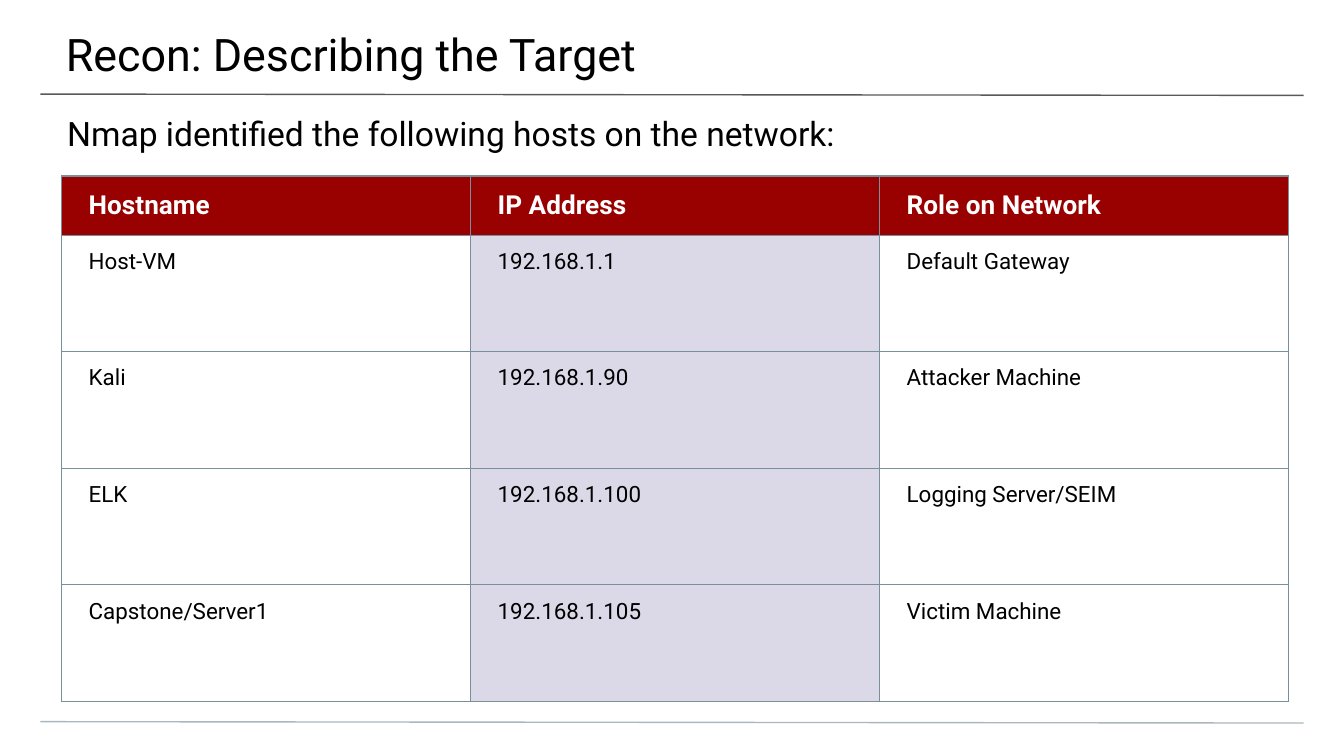
from lxml.etree import SubElement
from pptx import Presentation
from pptx.dml.color import RGBColor
from pptx.enum.shapes import MSO_CONNECTOR
from pptx.enum.text import MSO_ANCHOR
from pptx.oxml.ns import qn
from pptx.util import Inches, Pt

HOSTS = [
    ("Hostname", "IP Address", "Role on Network"),
    ("Host-VM", "192.168.1.1", "Default Gateway"),
    ("Kali", "192.168.1.90", "Attacker Machine"),
    ("ELK", "192.168.1.100", "Logging Server/SEIM"),
    ("Capstone/Server1", "192.168.1.105", "Victim Machine"),
]


def color(value):
    """Turn a hex string into a colour."""
    return RGBColor.from_string(value)


def style_text(para, size, hue="000000", bold=False):
    """Format every run of a paragraph."""
    for span in para.runs:
        span.font.name = "Roboto"
        span.font.size = Pt(size)
        span.font.bold = bold
        span.font.color.rgb = color(hue)


def set_margins(target, left, top, right, bottom):
    """Set the inner margins of a text frame or cell in inches."""
    target.margin_left, target.margin_top = Inches(left), Inches(top)
    target.margin_right, target.margin_bottom = Inches(right), Inches(bottom)


def add_rule(page, left, top, width, hue):
    """Draw a thin, slightly slanted rule across the page."""
    rule = page.shapes.add_connector(
        MSO_CONNECTOR.STRAIGHT, Inches(left), Inches(top),
        Inches(left + width), Inches(top + 0.01))
    rule.line.color.rgb = color(hue)
    rule.line.width = Pt(0.75)
    SubElement(rule._element.spPr, qn("a:effectLst"))


def add_heading(page, left, top, width, height, text, size, margins):
    """Place one line of heading text."""
    box = page.shapes.add_textbox(
        Inches(left), Inches(top), Inches(width), Inches(height))
    frame = box.text_frame
    frame.word_wrap = True
    frame.vertical_anchor = MSO_ANCHOR.TOP
    set_margins(frame, *margins)
    frame.text = text
    style_text(frame.paragraphs[0], size)


def add_borders(cell, hue, width):
    """Outline all four sides of a cell."""
    properties = cell._tc.get_or_add_tcPr()
    for index, side in enumerate(("lnL", "lnR", "lnT", "lnB")):
        line = properties.makeelement(qn(f"a:{side}"), {"w": str(Pt(width))})
        fill = SubElement(line, qn("a:solidFill"))
        SubElement(fill, qn("a:srgbClr"), val=hue)
        properties.insert(index, line)


def add_host_table(page, left, top, width, height, header_height):
    """Place the table of hosts with a red header and a tinted middle column."""
    row_count, column_count = len(HOSTS), len(HOSTS[0])
    table = page.shapes.add_table(
        row_count, column_count, Inches(left), Inches(top),
        Inches(width), Inches(height)).table
    for column in table.columns:
        column.width = Inches(width / column_count)
    body_height = (height - header_height) / (row_count - 1)
    for row_index, values in enumerate(HOSTS):
        header = row_index == 0
        table.rows[row_index].height = Inches(
            header_height if header else body_height)
        for column_index, value in enumerate(values):
            cell = table.cell(row_index, column_index)
            cell.text = value
            set_margins(cell, 0.2, 0.1, 0.2, 0.1)
            cell.vertical_anchor = MSO_ANCHOR.MIDDLE if header else MSO_ANCHOR.TOP
            if header or column_index == 1:
                cell.fill.solid()
                cell.fill.fore_color.rgb = color("990000" if header else "DBD9E8")
            else:
                cell.fill.background()
            style_text(cell.text_frame.paragraphs[0], 14 if header else 12,
                       "FFFFFF" if header else "000000", header)
            add_borders(cell, "78909C", 0.75)


def main():
    """Build and save the deck."""
    deck = Presentation()
    deck.slide_width, deck.slide_height = Inches(10), Inches(10 * 9 / 16)
    page = deck.slides.add_slide(deck.slide_layouts[6])
    add_rule(page, 0.3, 0.7, 9.4, "595959")
    add_rule(page, 0.3, 5.37, 9.4, "A9B7C0")
    add_heading(page, -0.01, 0, 10.03, 0.58, "Recon: Describing the Target",
                24, (0.5, 0.2, 0.3, 0.1))
    add_heading(page, 0, 0.74, 10, 0.4,
                "Nmap identified the following hosts on the network:",
                18, (0.5, 0.1, 0.5, 0))
    add_host_table(page, 0.46, 1.31, 9.13, 3.91, 0.44)
    deck.save("out.pptx")


if __name__ == "__main__":
    main()
